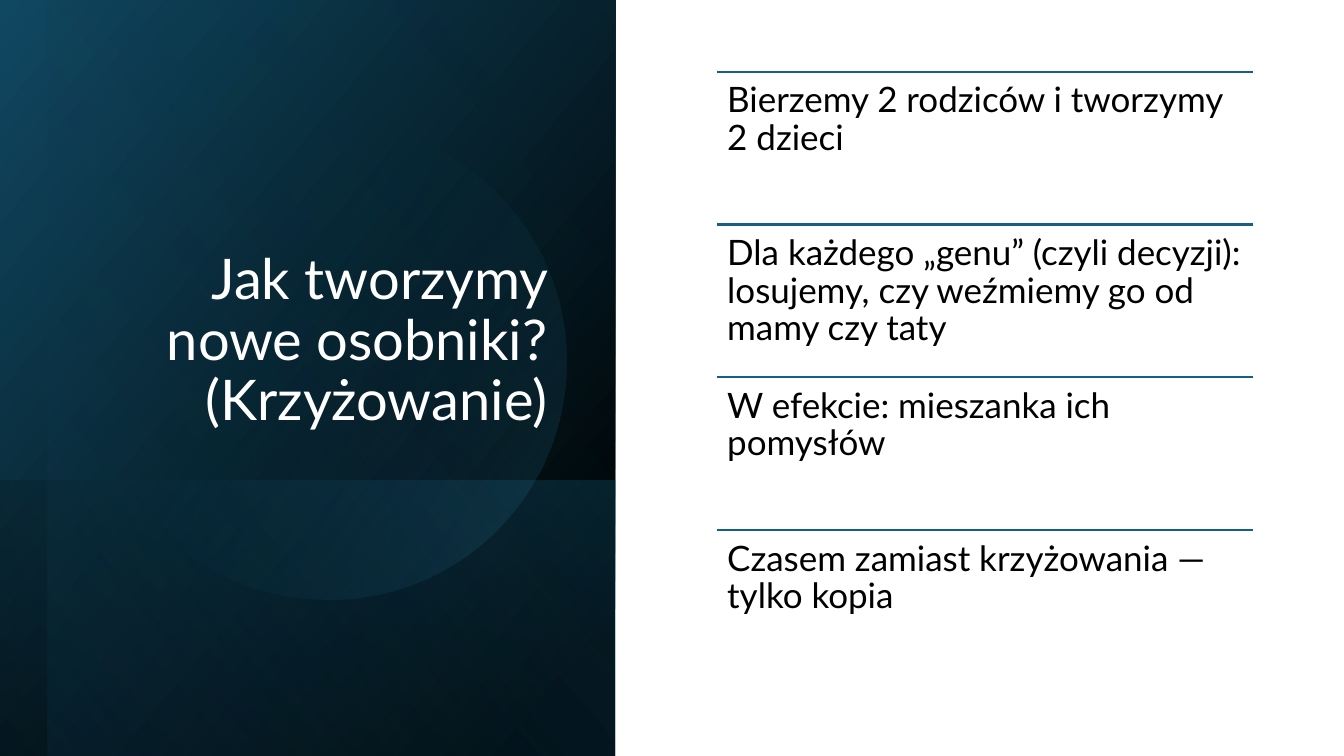
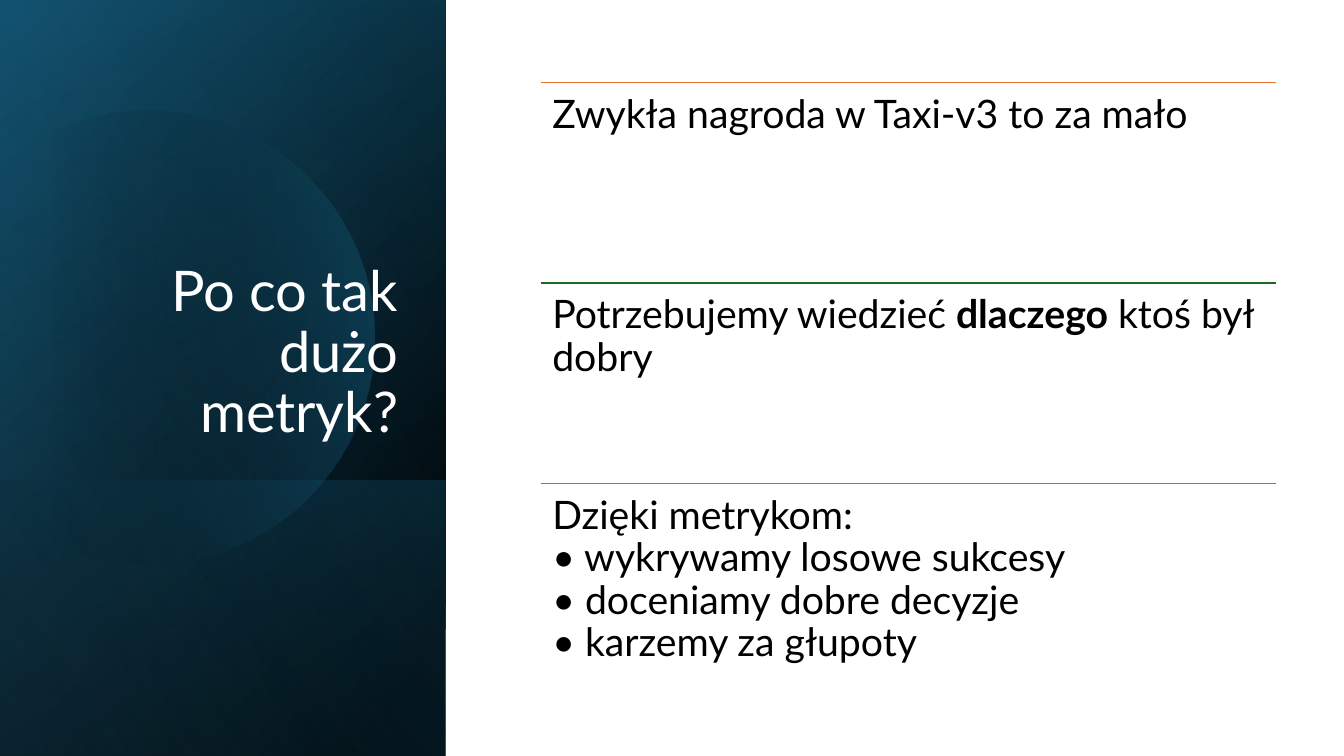
from lxml.etree import SubElement
from pptx import Presentation
from pptx.dml.color import RGBColor
from pptx.enum.shapes import MSO_CONNECTOR as Connector, MSO_SHAPE as Shape
from pptx.enum.text import MSO_ANCHOR as Anchor, PP_ALIGN as Align
from pptx.oxml.ns import qn
from pptx.util import Inches, Pt

WIDTH, HEIGHT = Inches(13.333), Inches(7.5)
FONT = "Lato"
TITLE_SIZE = 40
LINE_SPACING = 0.9
INSET_SHARE = 0.3  # of the text size

BLACK = RGBColor(0x00, 0x00, 0x00)
WHITE = RGBColor(0xFF, 0xFF, 0xFF)
NAVY = RGBColor(0x10, 0x48, 0x62)
TEAL = RGBColor(0x15, 0x60, 0x82)
SKY = RGBColor(0x46, 0xB1, 0xE1)
ORANGE = RGBColor(0xE9, 0x71, 0x32)
GREEN = RGBColor(0x19, 0x6B, 0x24)
BLUE = RGBColor(0x0F, 0x9E, 0xD5)

# Gradient stops: position %, colour, opacity %
PANEL_STOPS = [(8, BLACK, 100), (100, NAVY, 100)]
BAND_STOPS = [(2, TEAL, 29), (100, BLACK, 30)]
BAND_TOP = 63.5


def across(percent):
    return round(WIDTH * percent / 100)


def down(percent):
    return round(HEIGHT * percent / 100)


def place(box):
    """Turn left, top, width, height in percent of the slide into lengths."""
    left, top, width, height = box
    return across(left), down(top), across(width), down(height)


def add_gradient_shape(slide, kind, box, stops, angle):
    """Add a linear gradient shape; the angle runs clockwise from the right."""
    shape = slide.shapes.add_shape(kind, *place(box))
    shape.shadow.inherit = False
    shape.line.fill.background()
    shape.fill.solid()
    properties = shape._element.spPr
    solid = properties.find(qn("a:solidFill"))
    gradient = solid.makeelement(qn("a:gradFill"), {"rotWithShape": "1"})
    stop_list = SubElement(gradient, qn("a:gsLst"))
    for position, colour, opacity in stops:
        stop = SubElement(stop_list, qn("a:gs"), pos=str(position * 1000))
        value = SubElement(stop, qn("a:srgbClr"), val=str(colour))
        if opacity < 100:
            SubElement(value, qn("a:alpha"), val=str(opacity * 1000))
    SubElement(gradient, qn("a:lin"), ang=str(round(angle * 60000)), scaled="0")
    properties.replace(solid, gradient)
    return shape


def add_panel(slide, width):
    add_gradient_shape(slide, Shape.RECTANGLE, (0, 0, width, 100), PANEL_STOPS, 220)


def add_band(slide, width):
    box = (0, BAND_TOP, width, 100 - BAND_TOP)
    add_gradient_shape(slide, Shape.RECTANGLE, box, BAND_STOPS, 140)


def add_cut_disc(slide, box, stops, angle, half_arc):
    """Add a disc cut by an upright chord, half_arc degrees from its right end."""
    disc = add_gradient_shape(slide, Shape.CHORD, box, stops, angle)
    for index, end in enumerate((360 - half_arc, half_arc)):
        disc.adjustments[index] = end * 0.6


def style_paragraph(paragraph, size, colour):
    paragraph.line_spacing = LINE_SPACING
    paragraph.font.name = FONT
    paragraph.font.size = Pt(size)
    paragraph.font.color.rgb = colour


def add_title(slide, box, text):
    frame = slide.shapes.add_textbox(*place(box)).text_frame
    frame.word_wrap = True
    frame.vertical_anchor = Anchor.BOTTOM
    paragraph = frame.paragraphs[0]
    paragraph.text = text
    paragraph.alignment = Align.RIGHT
    style_paragraph(paragraph, TITLE_SIZE, WHITE)


def add_rule(slide, left, top, width, colour, weight):
    rule = slide.shapes.add_connector(Connector.STRAIGHT, left, top, left + width, top)
    rule.line.color.rgb = colour
    rule.line.width = Pt(weight)
    SubElement(rule._element.spPr, qn("a:effectLst"))


def write_lines(paragraph, lines, size):
    """Write lines with breaks between them; asterisks enclose bold words."""
    for number, line in enumerate(lines):
        if number:
            paragraph.add_line_break()
        for index, part in enumerate(line.split("*")):
            run = paragraph.add_run()
            run.text = part
            if index % 2:
                run.font.bold = True
    style_paragraph(paragraph, size, BLACK)


def add_ruled_list(slide, box, rows, size, weight):
    """Stack equal rows, each a colour and its lines, under thin rules."""
    left, top, width, height = place(box)
    row_height = height // len(rows)
    inset = Pt(size * INSET_SHARE)
    for index, (colour, lines) in enumerate(rows):
        row_top = top + index * row_height
        add_rule(slide, left, row_top, width, colour, weight)
        frame = slide.shapes.add_textbox(left, row_top, width, row_height).text_frame
        frame.word_wrap = True
        frame.margin_left = frame.margin_right = inset
        frame.margin_top = frame.margin_bottom = inset
        write_lines(frame.paragraphs[0], lines, size)


def build_crossover_slide(slide):
    panel_width = 45.78
    glow_left = 3.56
    add_panel(slide, panel_width)
    add_band(slide, panel_width)
    add_gradient_shape(slide, Shape.RECTANGLE,
                       (glow_left, 0, panel_width - glow_left, 100),
                       [(0, BLACK, 0), (99, TEAL, 11)], 140)
    add_gradient_shape(slide, Shape.OVAL, (6.75, 16.4, 35.4, 62.93),
                       [(39, TEAL, 0), (100, SKY, 15)], 31.6)
    add_title(slide, (6.73, 8.58, 34.73, 49.33),
              "Jak tworzymy nowe osobniki? (Krzyżowanie)")
    rows = [
        (TEAL, ["Bierzemy 2 rodziców i tworzymy 2 dzieci"]),
        (TEAL, ["Dla każdego „genu” (czyli decyzji):",
                "losujemy, czy weźmiemy go od mamy czy taty"]),
        (TEAL, ["W efekcie: mieszanka ich pomysłów"]),
        (TEAL, ["Czasem zamiast krzyżowania — tylko kopia"]),
    ]
    add_ruled_list(slide, (53.33, 9.47, 39.9, 80.9), rows, 25, 1.5)


def build_metrics_slide(slide):
    panel_width = 33.15
    panel = (0, 0, panel_width, 100)
    add_panel(slide, panel_width)
    add_gradient_shape(slide, Shape.RECTANGLE, panel,
                       [(0, BLACK, 0), (99, TEAL, 46)], 240)
    add_band(slide, panel_width)
    add_cut_disc(slide, (-5.93, 14.66, 33.76, 60.02),
                 [(29, BLACK, 0), (100, TEAL, 43)], 0, 130.5)
    add_gradient_shape(slide, Shape.RECTANGLE, panel,
                       [(0, BLACK, 0), (99, SKY, 11)], 150)
    add_title(slide, (4.8, 24.53, 25.56, 34.97), "Po co tak dużo metryk?")
    rows = [
        (ORANGE, ["Zwykła nagroda w Taxi-v3 to za mało"]),
        (GREEN, ["Potrzebujemy wiedzieć *dlaczego* ktoś był dobry"]),
        (BLUE, ["Dzięki metrykom:",
                "• wykrywamy losowe sukcesy",
                "• doceniamy dobre decyzje",
                "• karzemy za głupoty"]),
    ]
    add_ruled_list(slide, (40.22, 10.93, 54.7, 79.6), rows, 28, 1)


def main():
    presentation = Presentation()
    presentation.slide_width, presentation.slide_height = WIDTH, HEIGHT
    blank = presentation.slide_layouts[6]
    for build in (build_crossover_slide, build_metrics_slide):
        build(presentation.slides.add_slide(blank))
    presentation.save("out.pptx")


if __name__ == "__main__":
    main()
